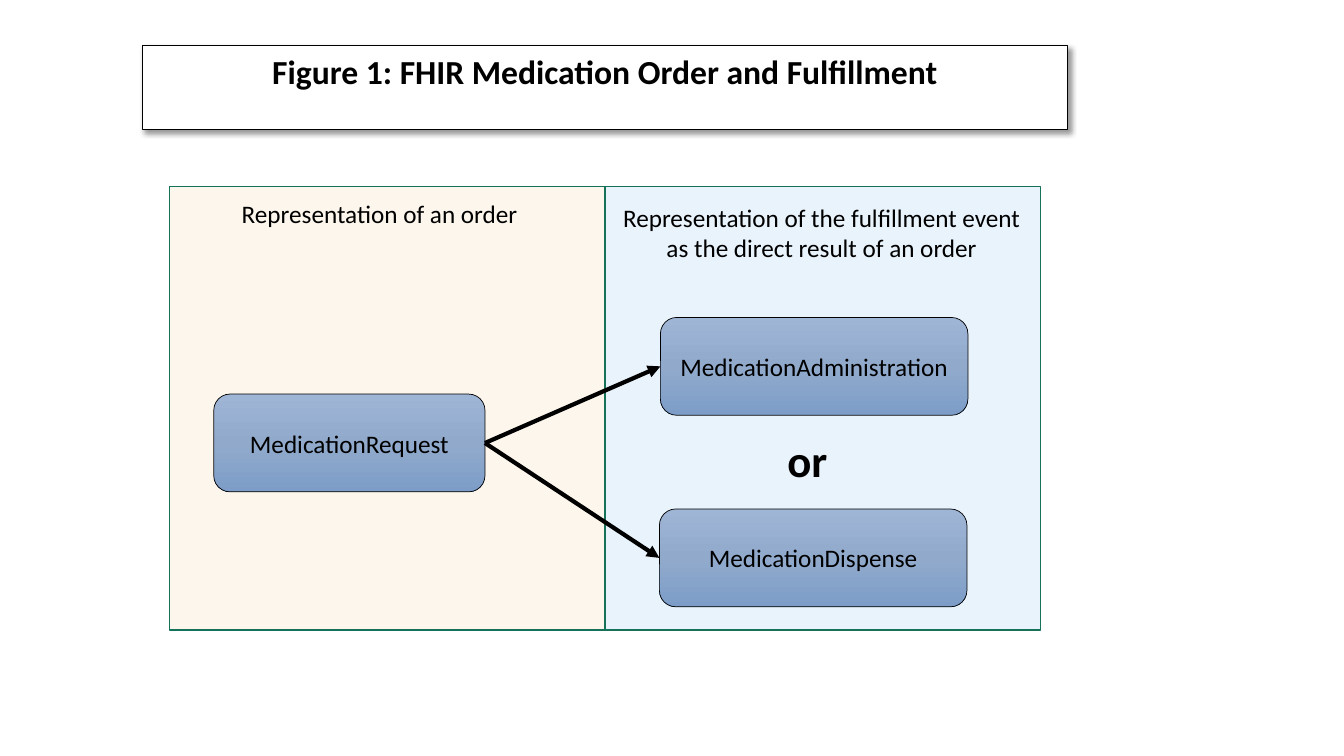
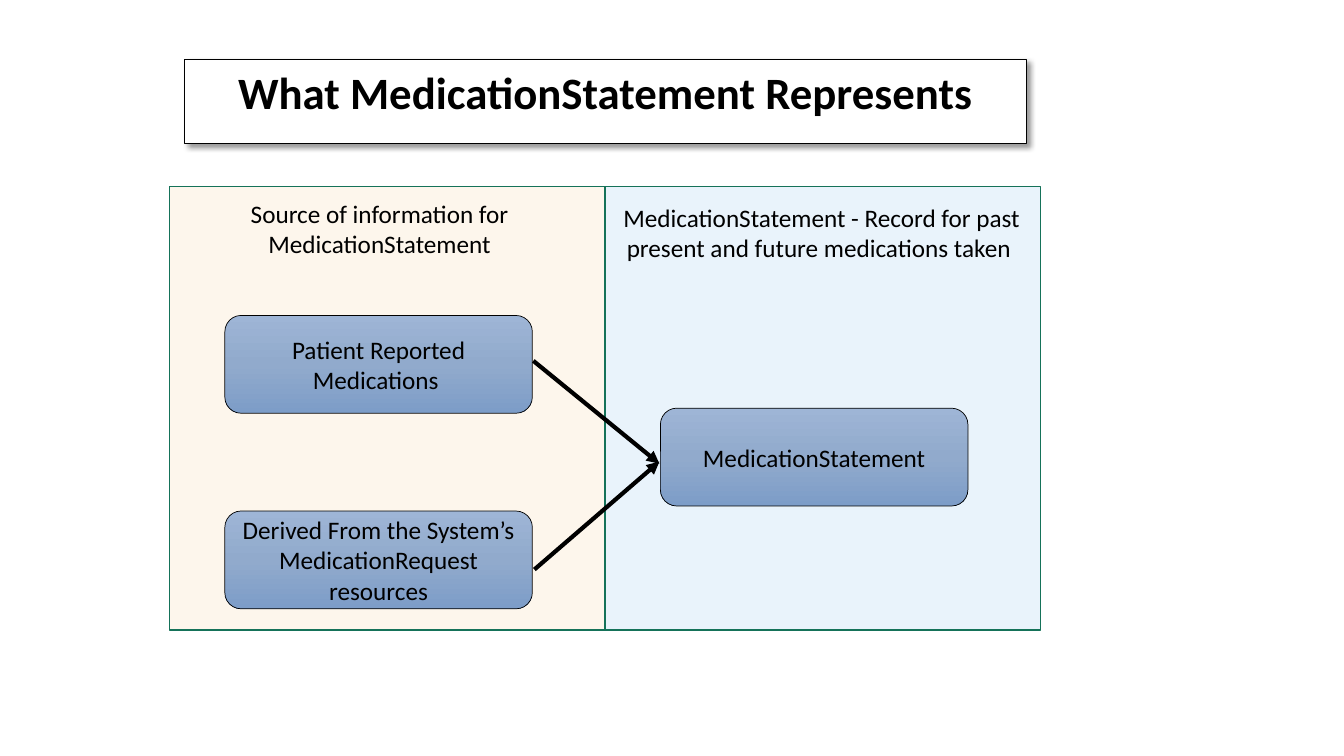
from copy import deepcopy
from dataclasses import dataclass

from lxml.etree import SubElement
from pptx import Presentation
from pptx.dml.color import RGBColor
from pptx.enum.shapes import MSO_CONNECTOR, MSO_SHAPE
from pptx.enum.text import MSO_ANCHOR, MSO_AUTO_SIZE, PP_ALIGN
from pptx.oxml.ns import qn
from pptx.util import Inches, Pt


# Theme: colours, font and type sizes
@dataclass(frozen=True)
class Theme:
    font: str = "Calibri"
    ink: str = "000000"
    paper: str = "FFFFFF"
    panel_line: str = "157259"
    source_panel: str = "FCEBD1"
    result_panel: str = "CAE4F6"
    panel_opacity: int = 41
    box_gradient: tuple = ("9EB5D6", "91AACC", "7D9DC8")
    body_size: int = 18
    figure_title_size: int = 24
    large_size: int = 32


THEME = Theme()

# Shared layout, in inches
PANEL_LEFT, PANEL_TOP = 1.68, 1.85
PANEL_WIDTH, PANEL_HEIGHT = 4.32, 4.4
PANEL_SPLIT = PANEL_LEFT + PANEL_WIDTH
BOX_WIDTH, BOX_HEIGHT = 3.05, 0.97
SIDE_LEFT, SIDE_RIGHT = 1, 3  # connection sites of a box


def rgb(value):
    return RGBColor.from_string(value)


def write(frame, text, size=THEME.body_size, bold=False,
          align=PP_ALIGN.CENTER, anchor=MSO_ANCHOR.TOP, grow=True):
    """Put formatted text into a text frame."""
    frame.word_wrap = True
    frame.auto_size = MSO_AUTO_SIZE.SHAPE_TO_FIT_TEXT if grow else MSO_AUTO_SIZE.NONE
    frame.vertical_anchor = anchor
    paragraph = frame.paragraphs[0]
    paragraph.alignment = align
    run = paragraph.add_run()
    run.text = text
    run.font.name = THEME.font
    run.font.size = Pt(size)
    run.font.bold = bold
    run.font.color.rgb = rgb(THEME.ink)


class Deck:
    """Holds the style and the slide being built."""

    def __init__(self, theme):
        self.theme = theme
        self.prs = Presentation()
        self.prs.slide_width, self.prs.slide_height = Inches(13.33), Inches(7.5)
        self.slide = None

    def outline(self, shape, color, width):
        shape.line.color.rgb = rgb(color)
        shape.line.width = Pt(width)

    def new_slide(self):
        title_only = self.prs.slide_layouts[5]
        self.slide = self.prs.slides.add_slide(title_only)

    def title(self, text, left, top, width, height, size):
        banner = self.slide.shapes.title
        banner.left, banner.top = Inches(left), Inches(top)
        banner.width, banner.height = Inches(width), Inches(height)
        banner.fill.solid()
        banner.fill.fore_color.rgb = rgb(self.theme.paper)
        self.outline(banner, self.theme.ink, 0.75)
        # Drop shadow towards the lower right
        banner.shadow.inherit = False
        effects = banner._element.spPr.find(qn("a:effectLst"))
        shadow = SubElement(effects, qn("a:outerShdw"), blurRad=str(Pt(4)),
                            dist=str(Pt(3)), dir=str(45 * 60000),
                            algn="tl", rotWithShape="0")
        color = SubElement(shadow, qn("a:srgbClr"), val=self.theme.ink)
        SubElement(color, qn("a:alpha"), val="40000")
        write(banner.text_frame, text, size=size, bold=True)

    def shape(self, kind, left, top, width, height):
        shape = self.slide.shapes.add_shape(
            kind, Inches(left), Inches(top), Inches(width), Inches(height))
        shape.shadow.inherit = False
        return shape

    def panel(self, left, color):
        panel = self.shape(MSO_SHAPE.RECTANGLE, left, PANEL_TOP, PANEL_WIDTH, PANEL_HEIGHT)
        panel.fill.solid()
        panel.fill.fore_color.rgb = rgb(color)
        fill_color = panel._element.spPr.find(qn("a:solidFill")).find(qn("a:srgbClr"))
        SubElement(fill_color, qn("a:alpha"), val=str(self.theme.panel_opacity * 1000))
        self.outline(panel, self.theme.panel_line, 1)

    def panels(self, source_heading, result_heading):
        self.panel(PANEL_SPLIT, self.theme.result_panel)
        self.panel(PANEL_LEFT, self.theme.source_panel)
        self.label(source_heading, PANEL_LEFT, 1.92, 4.17, 0.71)
        self.label(result_heading, PANEL_SPLIT, 1.96, 4.3, 0.71)

    def label(self, text, left, top, width, height, **style):
        label = self.slide.shapes.add_textbox(
            Inches(left), Inches(top), Inches(width), Inches(height))
        write(label.text_frame, text, **style)

    def box(self, text, left, top, width=BOX_WIDTH):
        box = self.shape(MSO_SHAPE.ROUNDED_RECTANGLE, left, top, width, BOX_HEIGHT)
        box.fill.gradient()
        box.fill.gradient_angle = 270
        # A third stop between the two that a new gradient has
        first_stop = box._element.spPr.find(".//" + qn("a:gs"))
        first_stop.addnext(deepcopy(first_stop))
        colors = self.theme.box_gradient
        for index, stop in enumerate(box.fill.gradient_stops):
            stop.position = index / (len(colors) - 1)
            stop.color.rgb = rgb(colors[index])
        self.outline(box, self.theme.ink, 0.5)
        write(box.text_frame, text, anchor=MSO_ANCHOR.MIDDLE, grow=False)
        return box

    def arrow(self, start=(0, 0), end=(0, 0)):
        points = [Inches(value) for value in (*start, *end)]
        arrow = self.slide.shapes.add_connector(MSO_CONNECTOR.STRAIGHT, *points)
        self.outline(arrow, self.theme.ink, 3)
        properties = arrow._element.spPr
        SubElement(properties.find(qn("a:ln")), qn("a:tailEnd"), type="triangle")
        SubElement(properties, qn("a:effectLst"))
        return arrow

    def link(self, source, target):
        arrow = self.arrow()
        arrow.begin_connect(source, SIDE_RIGHT)
        arrow.end_connect(target, SIDE_LEFT)


def order_slide(deck):
    deck.new_slide()
    deck.title("Figure 1: FHIR Medication Order and Fulfillment",
               1.41, 0.45, 9.18, 0.5, THEME.figure_title_size)
    deck.panels("Representation of an order",
                "Representation of the fulfillment event as the direct result of an order")
    request = deck.box("MedicationRequest", 2.12, 3.91, width=2.69)
    administration = deck.box("MedicationAdministration", 6.55, 3.15)
    dispense = deck.box("MedicationDispense", 6.54, 5.05)
    for fulfillment in (administration, dispense):
        deck.link(request, fulfillment)
    deck.label("or", 7.71, 4.24, 0.71, 0.64, size=THEME.large_size, bold=True,
               align=PP_ALIGN.LEFT, anchor=MSO_ANCHOR.MIDDLE)


def statement_slide(deck):
    deck.new_slide()
    deck.title("What MedicationStatement Represents",
               1.83, 0.59, 8.35, 0.64, THEME.large_size)
    deck.panels("Source of information for MedicationStatement",
                "MedicationStatement - Record for past present and future medications taken ")
    deck.box("Patient Reported Medications ", 2.23, 3.13)
    deck.box("Derived From the System’s MedicationRequest resources", 2.23, 5.07)
    deck.box("MedicationStatement", 6.55, 4.05)
    deck.arrow((5.29, 3.58), (6.54, 4.6))
    deck.arrow((5.3, 5.65), (6.54, 4.58))


def main():
    deck = Deck(THEME)
    order_slide(deck)
    statement_slide(deck)
    deck.prs.save("out.pptx")


if __name__ == "__main__":
    main()
